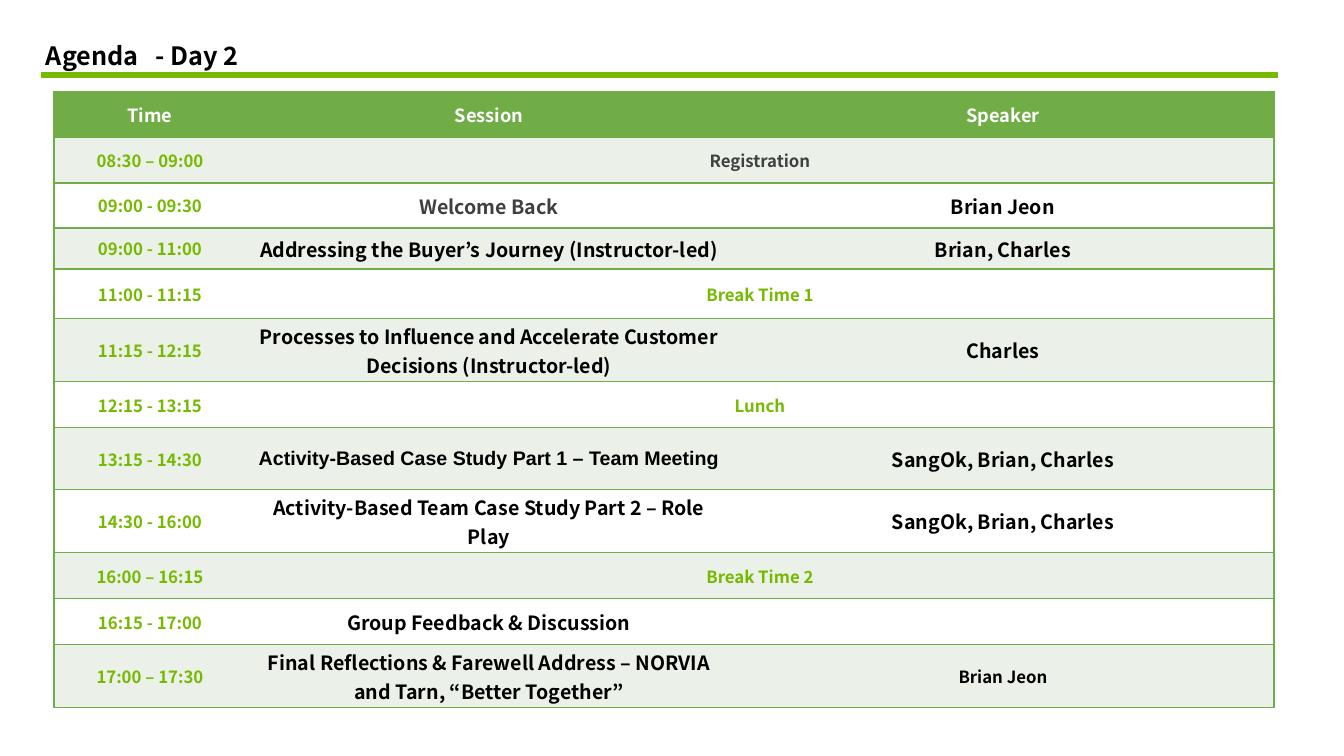
from lxml import etree
from pptx import Presentation
from pptx.dml.color import RGBColor
from pptx.enum.shapes import MSO_SHAPE
from pptx.enum.text import MSO_ANCHOR, MSO_AUTO_SIZE, PP_ALIGN
from pptx.oxml.ns import qn
from pptx.util import Pt

RECT = MSO_SHAPE.RECTANGLE
MIDDLE = MSO_ANCHOR.MIDDLE
CENTER = PP_ALIGN.CENTER
GROW = MSO_AUTO_SIZE.SHAPE_TO_FIT_TEXT

SCALE = 914400 / 100.8
FONT = "Noto Sans CJK KR"
BLACK, WHITE, GRAY = "000000", "FFFFFF", "404040"
GREEN, LIME, BAR, PALE = "70AD47", "75B900", "76B900", "EBF1E9"

COLS = [192, 486, 542]
HEAD = ["Time", "Session", "Speaker"]
HEAD_HIGH = 45
PADS = [(1, 1), (5, 1), (8, 4)]
ROWS = [
    (46, "08:30 – 09:00", "Registration", None),
    (45, "09:00 - 09:30", "Welcome Back", "Brian Jeon"),
    (41, "09:00 - 11:00", "Addressing the Buyer’s Journey (Instructor-led)", "Brian, Charles"),
    (50, "11:00 - 11:15", "Break Time 1", None),
    (63, "11:15 - 12:15",
     "Processes to Influence and Accelerate Customer Decisions (Instructor-led)", "Charles"),
    (46, "12:15 - 13:15", "Lunch", None),
    (62, "13:15 - 14:30", "Activity-Based Case Study Part 1 – Team Meeting",
     "SangOk, Brian, Charles"),
    (63, "14:30 - 16:00", "Activity-Based Team Case Study Part 2 – Role Play",
     "SangOk, Brian, Charles"),
    (46, "16:00 – 16:15", "Break Time 2", None),
    (46, "16:15 - 17:00", "Group Feedback & Discussion", ""),
    (63, "17:00 – 17:30",
     "Final Reflections & Farewell Address – NORVIA and Tarn, “Better Together”", "Brian Jeon"),
]
SPECIAL = {
    (1, 1): (12, GRAY, FONT),
    (2, 1): (14, GRAY, FONT),
    (7, 1): (14, BLACK, "Arial"),
    (11, 2): (12, BLACK, FONT),
}


def px(n):
    """Turn px into EMU."""
    return round(n * SCALE)


def color(code):
    """Turn a hex string into a colour."""
    return RGBColor.from_string(code)


def style(para, size, ink, face=FONT):
    """Set the bold font of a paragraph."""
    font = para.font
    font.size, font.bold, font.name = Pt(size), True, face
    font.color.rgb = color(ink)


def edge(cell, side, ink):
    """Draw one cell border, or clear it when ink is None."""
    line = etree.SubElement(cell._tc.get_or_add_tcPr(), qn("a:ln" + side), w=str(Pt(1)))
    if ink:
        fill = etree.SubElement(line, qn("a:solidFill"))
        etree.SubElement(fill, qn("a:srgbClr"), val=ink)
    else:
        etree.SubElement(line, qn("a:noFill"))


def fill_cell(cell, text, look, pad, back, col):
    """Write, pad, border and fill one cell."""
    edge(cell, "L", GREEN if col == 0 else None)
    edge(cell, "R", GREEN if col == 2 or cell.is_merge_origin else None)
    edge(cell, "T", GREEN)
    edge(cell, "B", GREEN)
    cell.fill.solid()
    cell.fill.fore_color.rgb = color(back)
    cell.vertical_anchor = MIDDLE
    cell.margin_left = cell.margin_right = px(pad[0])
    cell.margin_top = cell.margin_bottom = px(pad[1])
    para = cell.text_frame.paragraphs[0]
    para.text = text
    para.alignment = CENTER
    style(para, *look)


def add_title(slide, x, y, w, h):
    """Place the title and the green bar under it."""
    bar = slide.shapes.add_shape(RECT, px(x + 6), px(y + 38), px(1236), px(5))
    bar.shadow.inherit = False
    bar.fill.solid()
    bar.fill.fore_color.rgb = bar.line.color.rgb = color(BAR)
    bar.line.width = Pt(0.75)
    frame = slide.shapes.add_textbox(px(x), px(y), px(w), px(h)).text_frame
    frame.word_wrap = True
    frame.auto_size = GROW
    para = frame.paragraphs[0]
    para.text = "Agenda\t- Day 2"
    tabs = etree.SubElement(para._p.get_or_add_pPr(), qn("a:tabLst"))
    etree.SubElement(tabs, qn("a:tab"), pos=str(px(110)), algn="l")
    style(para, 18, BLACK)


def add_plan(slide, x, y):
    """Place the agenda table."""
    highs = [HEAD_HIGH] + [row[0] for row in ROWS]
    table = slide.shapes.add_table(
        len(highs), len(COLS), px(x), px(y), px(sum(COLS)), px(sum(highs))).table
    for col, wide in zip(table.columns, COLS):
        col.width = px(wide)
    for row, high in zip(table.rows, highs):
        row.height = px(high)
    for c, text in enumerate(HEAD):
        fill_cell(table.cell(0, c), text, (13, WHITE), (13, 7), GREEN, c)
    for r, (_, *texts) in enumerate(ROWS, 1):
        whole = texts[2] is None
        if whole:
            table.cell(r, 1).merge(table.cell(r, 2))
        for c, text in enumerate(texts):
            plain = (12, LIME) if c == 0 or whole else (14, BLACK)
            look = SPECIAL.get((r, c), plain)
            fill_cell(table.cell(r, c), text or "", look, PADS[c], PALE if r % 2 else WHITE, c)


def main():
    """Build and save the slide."""
    deck = Presentation()
    deck.slide_width, deck.slide_height = px(1344), px(756)
    slide = deck.slides.add_slide(deck.slide_layouts[6])
    add_title(slide, 36, 35, 288, 72)
    add_plan(slide, 54, 92)
    deck.save("out.pptx")


if __name__ == "__main__":
    main()
